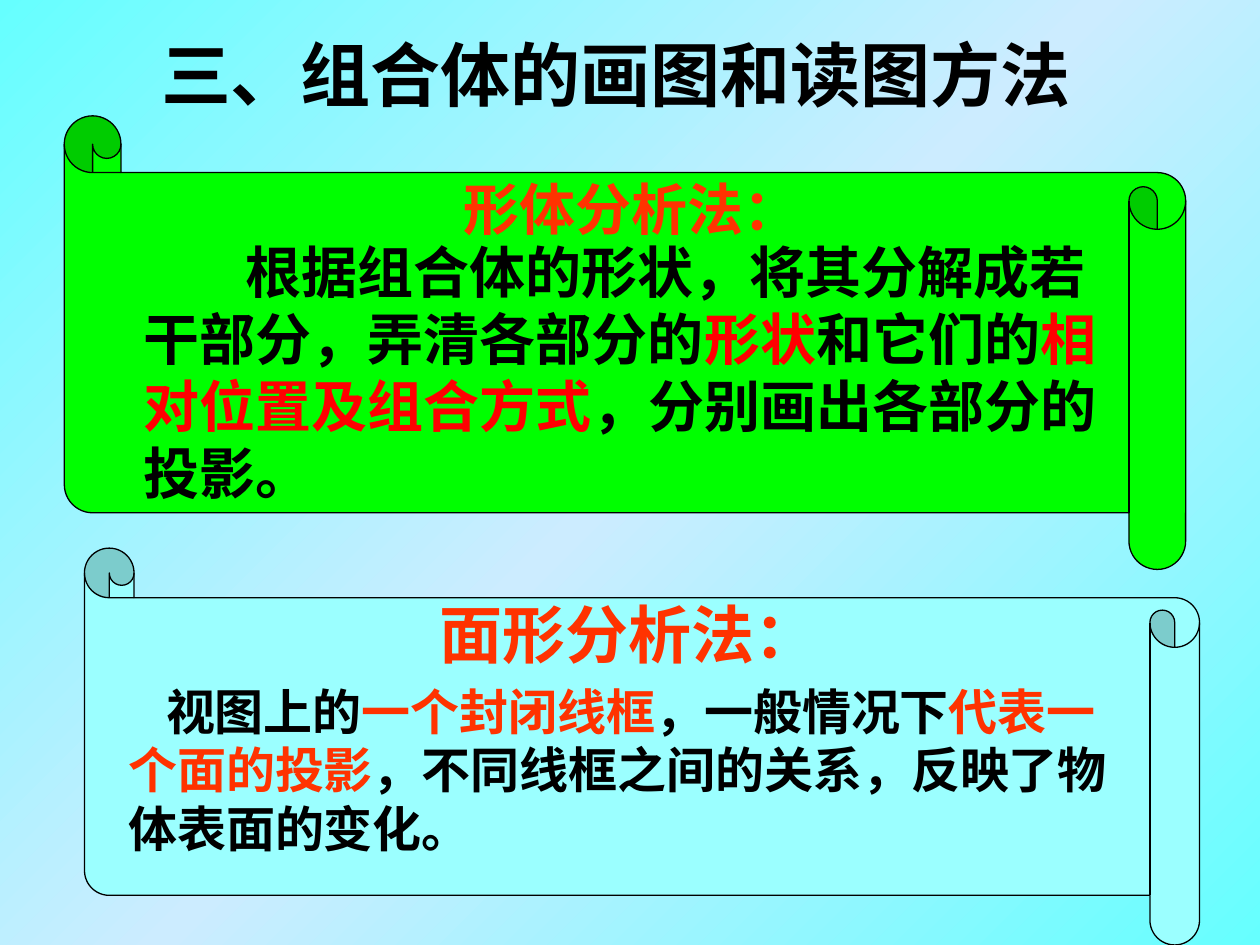
from lxml.etree import SubElement
from pptx import Presentation
from pptx.dml.color import RGBColor
from pptx.enum.shapes import MSO_SHAPE
from pptx.enum.text import MSO_ANCHOR, PP_ALIGN
from pptx.oxml import parse_xml
from pptx.oxml.ns import nsdecls, qn
from pptx.util import Inches, Pt

COLUMNS, ROWS = 100, 75
SANS, SERIF = "Noto Sans CJK SC", "Times New Roman"
BLACK, RED, ORANGE = "000000", "FF0000", "FF3300"


def color(value):
    """Turn a hex string into a colour."""
    return RGBColor.from_string(value)


def write_text(paragraph, text, size=32, font=SANS, fill=BLACK):
    """Add one bold run in the given format."""
    run = paragraph.add_run()
    run.text = text
    run.font.size, run.font.name, run.font.bold = Pt(size), font, True
    run.font.color.rgb = color(fill)
    east_asian = SubElement(run.font._element, qn("a:ea"))
    east_asian.set("typeface", SANS)


class SlideBuilder:
    """Hold the style and the current slide."""

    line_width = 0.75
    line_spacing = 1.2

    def __init__(self, presentation):
        """Add a blank slide and work out the grid cell."""
        self.slide = presentation.slides.add_slide(presentation.slide_layouts[6])
        self.cell_width = presentation.slide_width / COLUMNS
        self.cell_height = presentation.slide_height / ROWS

    def area(self, left, top, width, height):
        """Turn grid columns and rows into lengths."""
        return (int(left * self.cell_width), int(top * self.cell_height),
                int(width * self.cell_width), int(height * self.cell_height))

    def background(self, stops, angle):
        """Fill the background with a linear gradient."""
        marks = "".join(
            f'<a:gs pos="{share * 1000}"><a:srgbClr val="{value}"/></a:gs>'
            for share, value in stops)
        element = parse_xml(
            f'<p:bg {nsdecls("p", "a")}><p:bgPr><a:gradFill rotWithShape="1">'
            f'<a:gsLst>{marks}</a:gsLst><a:lin ang="{angle * 60000}" scaled="0"/>'
            '</a:gradFill><a:effectLst/></p:bgPr></p:bg>')
        self.slide.element.cSld.insert(0, element)

    def scroll(self, left, top, width, height, fill):
        """Draw a vertical scroll turned on its side."""
        shape = self.slide.shapes.add_shape(
            MSO_SHAPE.VERTICAL_SCROLL, *self.area(left, top, width, height))
        shape.rotation = 90
        shape.adjustments[0] = 0.125
        shape.shadow.inherit = False
        shape.fill.solid()
        shape.fill.fore_color.rgb = color(fill)
        shape.line.color.rgb = color(BLACK)
        shape.line.width = Pt(self.line_width)

    def text(self, left, top, width, height, runs, size=32, font=SANS, wrap=False,
             align=PP_ALIGN.LEFT, anchor=MSO_ANCHOR.MIDDLE, indent=0):
        """Place one paragraph of coloured runs."""
        shape = self.slide.shapes.add_textbox(*self.area(left, top, width, height))
        frame = shape.text_frame
        frame.word_wrap = wrap
        frame.vertical_anchor = anchor
        paragraph = frame.paragraphs[0]
        paragraph.alignment = align
        paragraph.line_spacing = Pt(size * self.line_spacing)
        if indent:
            paragraph._p.get_or_add_pPr().set("indent", str(int(indent * self.cell_width)))
        for words, fill in runs:
            write_text(paragraph, words, size=size, font=font, fill=fill)

    def heading(self, left, top, width, height, words, size):
        """Place a centred method name."""
        self.text(left, top, width, height, [(words, ORANGE)], size=size,
                  align=PP_ALIGN.CENTER)

    def body(self, left, top, width, height, runs, size, indent):
        """Place a wrapped explanation with an indented first line."""
        self.text(left, top, width, height, runs, size=size, font=SERIF,
                  wrap=True, indent=indent)


def main():
    """Build the slide and save it."""
    presentation = Presentation()
    presentation.slide_width, presentation.slide_height = Inches(10), Inches(7.5)
    builder = SlideBuilder(presentation)
    builder.background([(0, "66FFFF"), (50, "CCECFF"), (100, "66FFFF")], 45)
    builder.text(11.8, 2, 77, 7.7, [("三、组合体的画图和读图方法", BLACK)],
                 size=40, anchor=MSO_ANCHOR.TOP)

    builder.scroll(31.6, -17.3, 36, 89, "00FF00")
    builder.body(10.4, 18.3, 80.1, 22.4, [
        ("根据组合体的形状，将其分解成若干部分，弄清各部分的", BLACK),
        ("形状", RED),
        ("和它们的", BLACK),
        ("相对位置及组合方式", RED),
        ("，分别画出各部分的投影。", BLACK),
    ], size=32, indent=8.1)
    builder.heading(35.8, 13.3, 28.7, 6.4, "形体分析法：", size=32)

    builder.scroll(35.2, 15, 31.5, 88.5, "9BFFFF")
    builder.body(9.2, 53.2, 81.7, 15.7, [
        ("视图上的", BLACK),
        ("一个封闭线框", ORANGE),
        ("，一般情况下", BLACK),
        ("代表一个面的投影", ORANGE),
        ("，不同线框之间的关系，反映了物体表面的变化。", BLACK),
    ], size=28, indent=3)
    builder.heading(33.9, 46.8, 32, 7, "面形分析法：", size=36)
    presentation.save("out.pptx")


if __name__ == "__main__":
    main()
